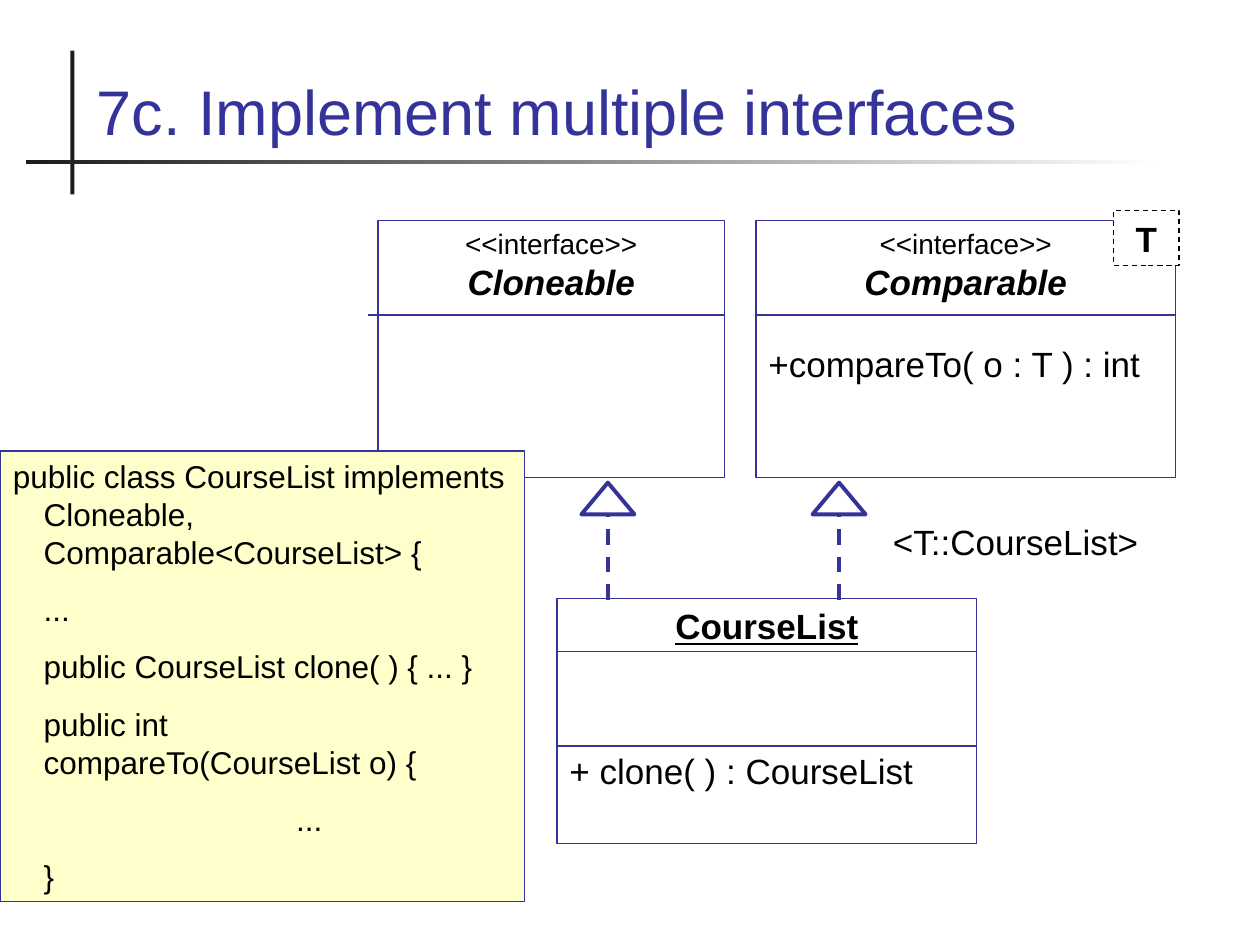
from lxml import etree
from pptx import Presentation
from pptx.dml.color import RGBColor
from pptx.enum.dml import MSO_LINE
from pptx.enum.shapes import MSO_CONNECTOR, MSO_SHAPE
from pptx.enum.text import MSO_ANCHOR, PP_ALIGN
from pptx.oxml.ns import qn
from pptx.util import Cm, Pt

NAVY = RGBColor(0x33, 0x33, 0x99)
BLACK = RGBColor(0, 0, 0)
CHARCOAL = RGBColor(0x1C, 0x1C, 0x1C)
WHITE = RGBColor(0xFF, 0xFF, 0xFF)
CREAM = RGBColor(0xFF, 0xFF, 0xCC)

RECT = MSO_SHAPE.RECTANGLE
TRIANGLE = MSO_SHAPE.ISOSCELES_TRIANGLE
STRAIGHT = MSO_CONNECTOR.STRAIGHT
DASH = MSO_LINE.DASH
TOP, BOTTOM = MSO_ANCHOR.TOP, MSO_ANCHOR.BOTTOM
LEFT, CENTER = PP_ALIGN.LEFT, PP_ALIGN.CENTER

THIN, THICK = 0.75, 2.25
BLANK_LINE = 23  # height in points of one empty 20 pt line


def add_box(slide, kind, box, fill=None, line=None, weight=THIN):
    shape = slide.shapes.add_shape(kind, *map(Cm, box))
    shape.shadow.inherit = False
    if fill is None:
        shape.fill.background()
    else:
        shape.fill.solid()
        shape.fill.fore_color.rgb = fill
    if line is None:
        shape.line.fill.background()
    else:
        shape.line.color.rgb = line
        shape.line.width = Pt(weight)
    return shape


def add_line(slide, x1, y1, x2, y2, weight=THIN):
    line = slide.shapes.add_connector(STRAIGHT, Cm(x1), Cm(y1), Cm(x2), Cm(y2))
    line.line.color.rgb = NAVY
    line.line.width = Pt(weight)
    etree.SubElement(line._element.spPr, qn("a:effectLst"))
    return line


def write(frame, text, size=20, align=LEFT, color=BLACK, before=0,
          bold=False, italic=False, underline=False):
    """Fill the first paragraph of the frame, or append another one."""
    paragraph = frame.paragraphs[0]
    if paragraph.runs:
        paragraph = frame.add_paragraph()
    paragraph.text = text
    paragraph.alignment = align
    paragraph.space_before = Pt(before)
    font = paragraph.font
    font.name, font.size, font.color.rgb = "Arial", Pt(size), color
    font.bold, font.italic, font.underline = bold, italic, underline
    return paragraph


def add_label(slide, box, text, anchor=TOP, wrap=False, **style):
    frame = slide.shapes.add_textbox(*map(Cm, box)).text_frame
    frame.word_wrap = wrap
    frame.vertical_anchor = anchor
    write(frame, text, **style)


def title_area(slide, left, top, width):
    # Crossed rules, the horizontal one fading out to the right
    add_box(slide, RECT, (left + 0.89, top, 0.08, 2.9), fill=CHARCOAL)
    rule = add_box(slide, RECT, (left, top + 2.21, width, 0.08))
    rule.fill.gradient()
    rule.fill.gradient_angle = 0
    for stop, color in zip(rule.fill.gradient_stops, (CHARCOAL, WHITE)):
        stop.color.rgb = color
    add_label(slide, (left + 1.17, top - 0.31, 22, 2.41),
              "7c. Implement multiple interfaces",
              anchor=BOTTOM, wrap=True, size=36, color=NAVY)


def class_box(slide, box, dividers, overhang=0):
    """Draw a class outline with its dividers and return its text frame."""
    left, top, width, _ = box
    frame = add_box(slide, RECT, box, line=NAVY).text_frame
    frame.word_wrap = True
    frame.vertical_anchor = TOP
    for offset in dividers:
        add_line(slide, left - overhang, top + offset, left + width, top + offset)
    return frame


def interface_box(slide, box, name, method=None, overhang=0):
    frame = class_box(slide, box, [1.9], overhang)
    write(frame, "<<interface>>", size=16, align=CENTER)
    write(frame, name, align=CENTER, bold=True, italic=True)
    if method:
        write(frame, method, before=BLANK_LINE)


def course_list_box(slide, box):
    frame = class_box(slide, box, [1.07, 2.97])
    write(frame, "CourseList", align=CENTER, bold=True, underline=True)
    write(frame, "+ clone( ) : CourseList", before=2 * BLANK_LINE + 12.5)


def type_parameter(slide, box):
    corner = add_box(slide, RECT, box, fill=WHITE, line=BLACK)
    corner.line.dash_style = DASH
    corner.text_frame.word_wrap = False
    write(corner.text_frame, "T", align=CENTER, bold=True)


def realization_arrow(slide, left, top, height):
    head_width, head_height = 1.07, 0.64
    center = left + head_width / 2
    shaft = add_line(slide, center, top + height, center, top + head_height, THICK)
    shaft.line.dash_style = DASH
    add_box(slide, TRIANGLE, (left, top, head_width, head_height),
            line=NAVY, weight=THICK)


def code_note(slide, box):
    frame = add_box(slide, RECT, box, fill=CREAM, line=NAVY).text_frame
    frame.word_wrap = True
    frame.vertical_anchor = TOP
    # Text, left margin and first-line indent in cm
    code = [
        ("public class CourseList implements Cloneable, "
         "Comparable<CourseList> {", 0.63, -0.62),
        ("...", 0.63, 0),
        ("public CourseList clone( ) { ... }", 0.63, 0),
        ("public int\vcompareTo(CourseList o) {", 0.63, 0),
        ("...", 5.72, 0),
        ("}", 0.63, 0),
    ]
    for number, (text, margin, indent) in enumerate(code):
        paragraph = write(frame, text, size=18, before=11.2 if number else 0)
        properties = paragraph._p.get_or_add_pPr()
        properties.set("marL", str(int(Cm(margin))))
        properties.set("indent", str(int(Cm(indent))))


def main():
    prs = Presentation()
    prs.slide_width, prs.slide_height = Cm(25.4), Cm(19.05)
    slide = prs.slides.add_slide(prs.slide_layouts[6])

    title_area(slide, 0.53, 1.02, 22.83)
    # Interfaces
    interface_box(slide, (7.62, 4.45, 6.99, 5.18), "Cloneable", overhang=0.2)
    interface_box(slide, (15.24, 4.45, 8.46, 5.18), "Comparable",
                  "+compareTo( o : T ) : int")
    type_parameter(slide, (22.45, 4.24, 1.32, 1.12))
    # Implementing class
    course_list_box(slide, (11.23, 12.07, 8.46, 4.93))
    for left in (11.72, 16.38):
        realization_arrow(slide, left, 9.73, 2.36)
    add_label(slide, (17.75, 10.36, 5.54, 1.12), "<T::CourseList>")
    # Source code
    code_note(slide, (0, 9.09, 10.58, 9.09))

    prs.save("out.pptx")


if __name__ == "__main__":
    main()
